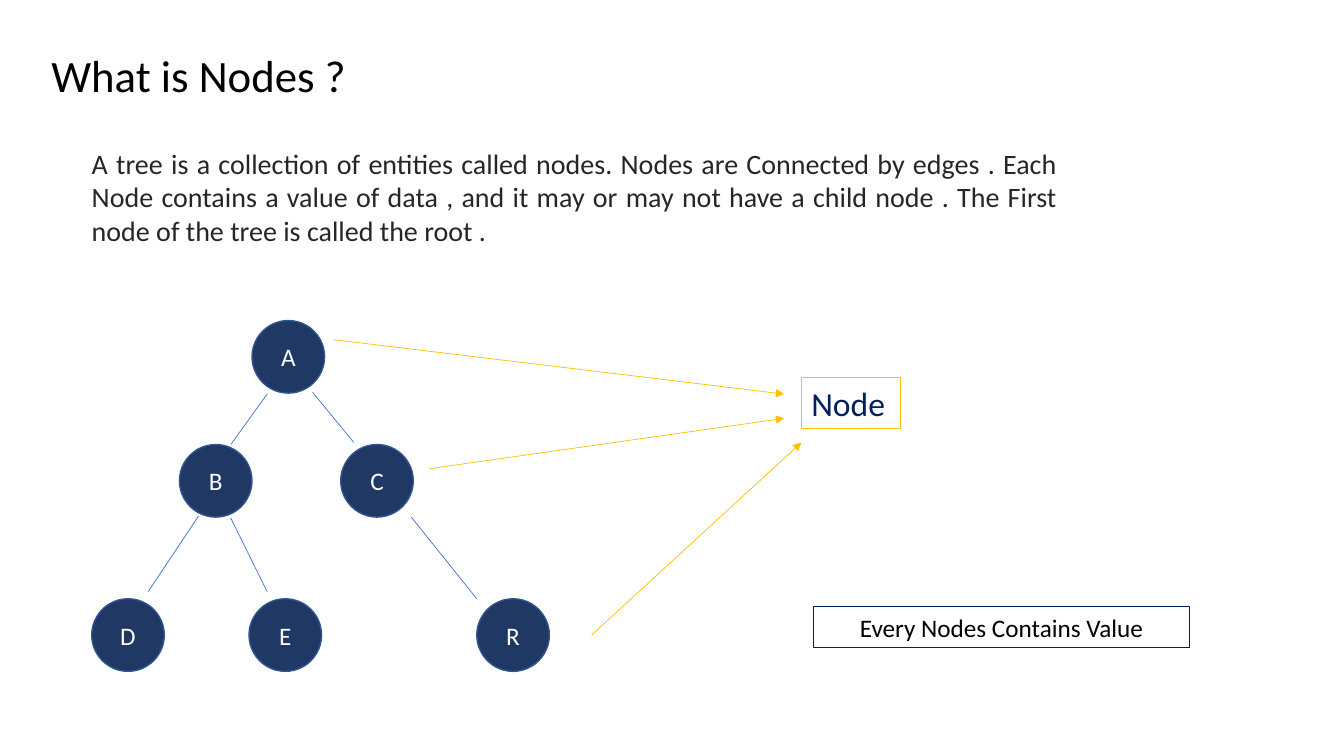
from lxml import etree
from pptx import Presentation, util as u
from pptx.dml.color import RGBColor
from pptx.enum import shapes, text
from pptx.oxml.ns import qn

CELL = u.Inches(0.1)  # the slide is a grid of 133.33 columns by 75 rows
COLS, ROWS = 133.33, 75
NAVY, INK, EDGE, GOLD = "203864", "002060", "4472C4", "FFC000"
NODE_SIZE = 7.2
LEVELS = [0, 12.3, 27.6]
NODES = [("A", 15.9, 0), ("B", 8.7, 1), ("C", 24.7, 1),
         ("D", 0, 2), ("E", 15.6, 2), ("R", 38.2, 2)]
EDGES = {"A-B": (17.4, 7.3, 13.8, 12.3), "A-C": (21.9, 7.1, 26, 12.1),
         "B-D": (10.6, 19.4, 5.6, 26.9), "B-E": (13.8, 19.6, 17.4, 26.9),
         "C-R": (31.7, 19.5, 38.2, 27.6)}
POINTERS = {"A": (0, 0, 44.7, 5.4), "R": (25.6, 29.3, 46.4, 10.2),
            "C": (9.5, 12.8, 44.7, 7.8)}


def grid(*cells):
    """Turn grid cells into slide lengths."""
    return [round(c * CELL) for c in cells]


def color(value):
    """Turn a hex string into a colour."""
    return RGBColor.from_string(value)


def write(sp, words, size=18, fill="000000", align=text.PP_ALIGN.LEFT,
          anchor=text.MSO_ANCHOR.MIDDLE, wrap=True):
    """Put one formatted paragraph into a shape or placeholder."""
    tf = sp.text_frame
    tf.word_wrap, tf.auto_size = wrap, text.MSO_AUTO_SIZE.NONE
    tf.vertical_anchor = anchor
    p = tf.paragraphs[0]
    p.alignment, p.space_before = align, u.Pt(0)
    r = p.add_run()
    r.text = words
    r.font.name, r.font.size = "Calibri", u.Pt(size)
    r.font.color.rgb = color(fill)
    return p


def add_box(s, kind, box, line, width=0.75, fill=None):
    """Add a preset shape with an outline and an optional fill."""
    sp = s.shapes.add_shape(kind, *grid(*box))
    sp.shadow.inherit = False
    if fill:
        sp.fill.solid()
        sp.fill.fore_color.rgb = color(fill)
    else:
        sp.fill.background()
    sp.line.color.rgb, sp.line.width = color(line), u.Pt(width)
    return sp


def add_line(s, origin, ends, line, arrow=False):
    """Draw a thin line whose ends are relative to an origin."""
    x, y = origin
    x1, y1, x2, y2 = ends
    cx = s.shapes.add_connector(shapes.MSO_CONNECTOR.STRAIGHT,
                                *grid(x + x1, y + y1, x + x2, y + y2))
    cx.line.color.rgb, cx.line.width = color(line), u.Pt(0.5)
    if arrow:
        etree.SubElement(cx.line._get_or_add_ln(), qn("a:tailEnd"), type="triangle")
    etree.SubElement(cx._element.spPr, qn("a:effectLst"))


def place(sp, box):
    """Move a placeholder to a box."""
    sp.left, sp.top, sp.width, sp.height = grid(*box)


def add_heading(s, box):
    """Fill the title placeholder."""
    place(s.shapes.title, box)
    write(s.shapes.title, "What is Nodes ?", size=32)


def add_definition(s, box):
    """Fill the body placeholder with justified text and no bullet."""
    body = s.placeholders[1]
    place(body, box)
    p = write(body, "A tree is a collection of entities called nodes. Nodes are "
              "Connected by edges . Each Node contains a value of data , and it may "
              "or may not have a child node . The First node of the tree is called "
              "the root . ", size=20, fill="262626",
              align=text.PP_ALIGN.JUSTIFY, anchor=text.MSO_ANCHOR.TOP)
    pPr = p._p.get_or_add_pPr()
    pPr.set("marL", "0")
    pPr.set("indent", "0")
    etree.SubElement(pPr, qn("a:buNone"))


def add_tree(s, origin):
    """Draw the labelled nodes and the edges between them."""
    x, y = origin
    for name, col, level in NODES:
        box = (x + col, y + LEVELS[level], NODE_SIZE, NODE_SIZE)
        sp = add_box(s, shapes.MSO_SHAPE.OVAL, box, "325491", 1, NAVY)
        write(sp, name, fill="FFFFFF", align=text.PP_ALIGN.CENTER, wrap=False)
    for ends in EDGES.values():
        add_line(s, origin, ends, EDGE)


def add_callout(s, origin):
    """Draw the Node label and the arrows that lead to it."""
    x, y = origin
    label = add_box(s, shapes.MSO_SHAPE.RECTANGLE, (x + 46.4, y + 3.8, 9.8, 5), GOLD)
    write(label, "Node", size=24, fill=INK, wrap=False)
    for ends in POINTERS.values():
        add_line(s, origin, ends, GOLD, arrow=True)


def add_remark(s, box):
    """Draw the framed remark."""
    sp = add_box(s, shapes.MSO_SHAPE.RECTANGLE, box, INK)
    write(sp, "Every Nodes Contains Value", align=text.PP_ALIGN.CENTER)


def main():
    """Build the slide and save it."""
    prs = Presentation()
    prs.slide_width, prs.slide_height = grid(COLS, ROWS)
    s = prs.slides.add_slide(prs.slide_layouts[1])
    add_heading(s, (4.1, 4.2, 76.9, 6.4))
    add_definition(s, (8.1, 14, 97.8, 11.1))
    add_tree(s, (9.1, 31.8))
    add_callout(s, (33.1, 33.7))
    add_remark(s, (80.7, 60.2, 37.3, 4))
    prs.save("out.pptx")


main()
